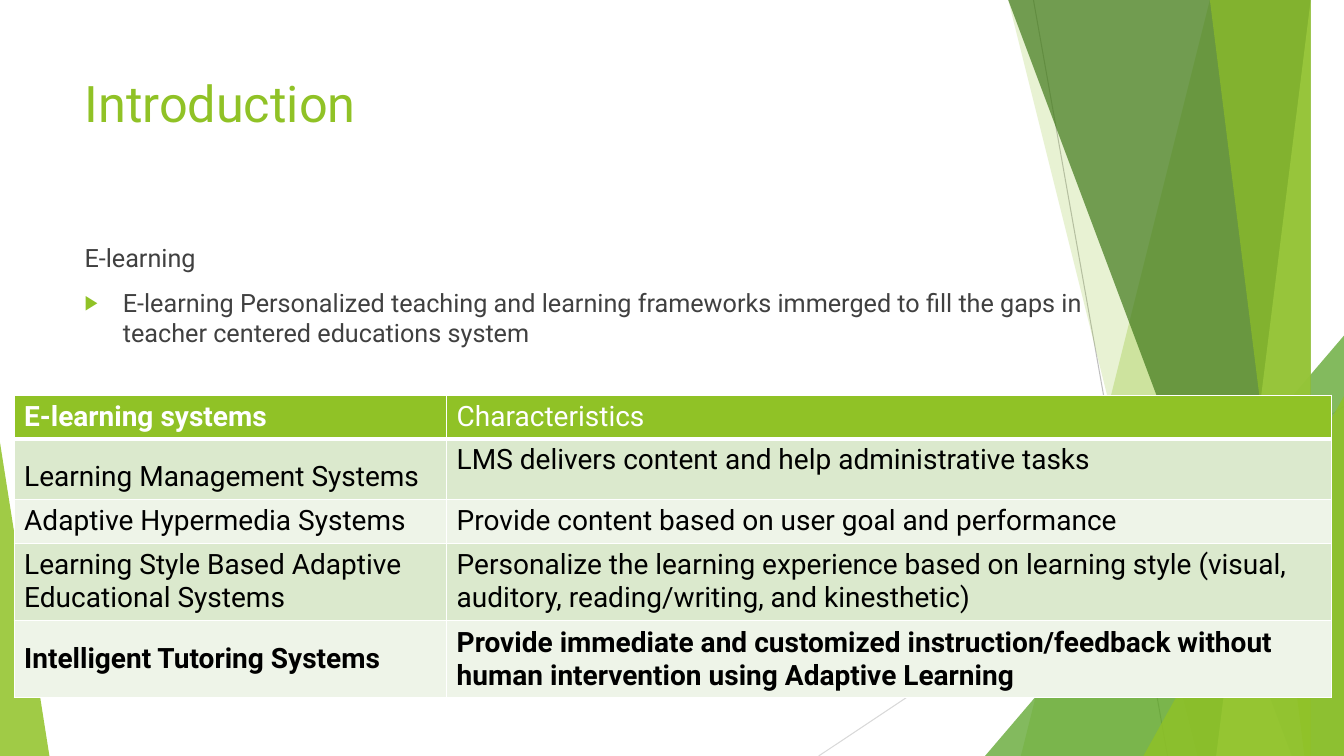
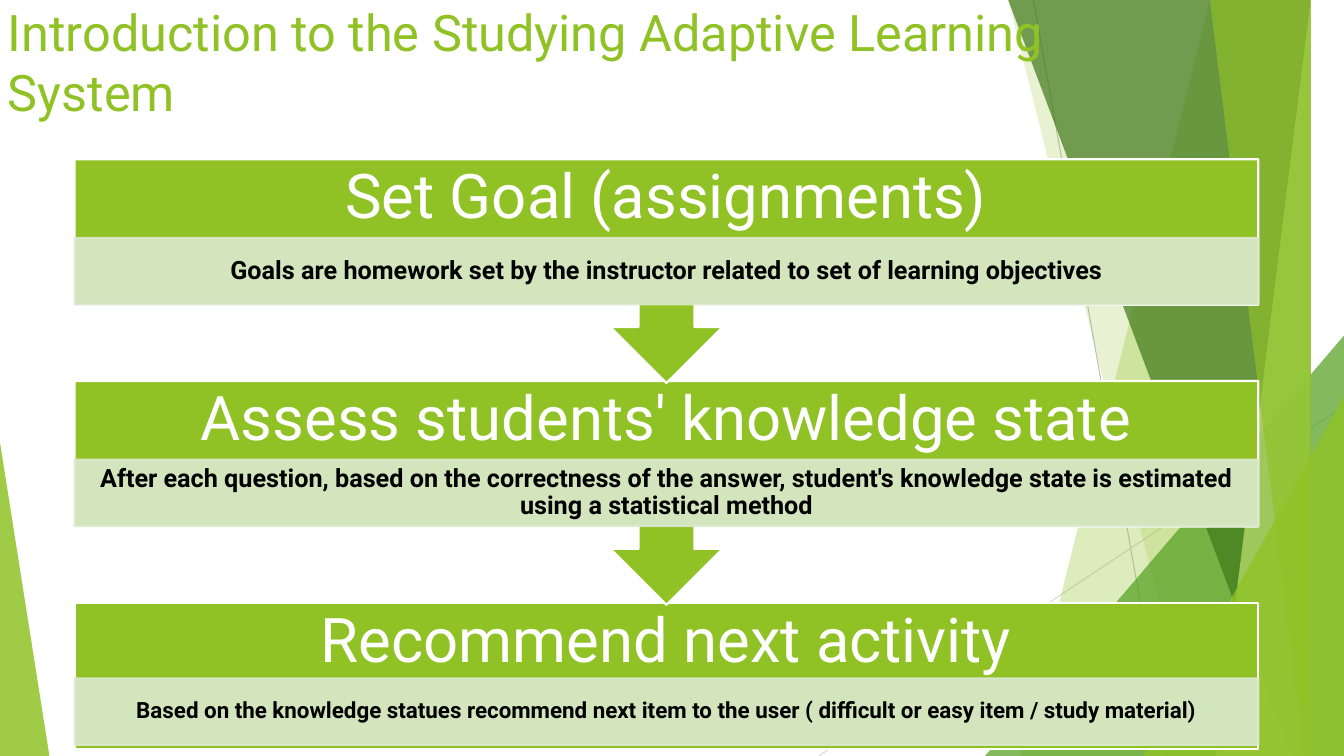
from lxml import etree
from pptx import Presentation, util as u
from pptx.dml.color import RGBColor
from pptx.enum import shapes as sh, text as tx
from pptx.oxml.ns import qn

W, H = 13.33, 7.5
FONT = "Roboto"
GREEN, LEAF, DARK, LIME = "90C226", "54A021", "3F7819", "C0E474"
PALE, MIST, WHITE, BLACK, GRAY = "DBE9CD", "EEF4E8", "FFFFFF", "000000", "404040"
TITLE = dict(size=36, color=GREEN)
BODY = dict(size=18, color=GRAY)
HEAD = dict(size=44, color=WHITE)
MID = tx.MSO_ANCHOR.MIDDLE
CENTER = dict(alignment=tx.PP_ALIGN.CENTER, line_spacing=0.9)


def rgb(code):
    return RGBColor.from_string(code)


def inches(*vals):
    return [u.Inches(v) for v in vals]


def sub(node, tag, **attrs):
    return etree.SubElement(node, qn(tag), attrs)


def paint(fill, code, alpha=100):
    fill.solid()
    fill.fore_color.rgb = rgb(code)
    if alpha < 100:
        # the colour node is the only child of the solid fill
        node = fill._xPr.find(qn("a:solidFill"))[0]
        sub(node, "a:alpha", val=str(alpha * 1000))


def style(shape, code, alpha=100, edge=None):
    shape.shadow.inherit = False
    paint(shape.fill, code, alpha)
    if edge:
        shape.line.width = u.Pt(1.5)
        paint(shape.line.fill, edge, alpha)
    else:
        shape.line.fill.background()


def write(para, words, size, color, bold=False, **form):
    for key, val in form.items():
        setattr(para, key, val)
    para.text = words
    look = dict(name=FONT, size=u.Pt(size), bold=bold)
    for run in para.runs:
        for key, val in look.items():
            setattr(run.font, key, val)
        run.font.color.rgb = rgb(color)


def setup(frame, side=0.1, edge=0.05, anchor=tx.MSO_ANCHOR.TOP):
    side, edge = inches(side, edge)
    vals = dict(word_wrap=True, vertical_anchor=anchor, margin_left=side,
                margin_right=side, margin_top=edge, margin_bottom=edge)
    for key, val in vals.items():
        setattr(frame, key, val)
    return frame


def label(slide, box, words, form, **opts):
    frame = setup(slide.shapes.add_textbox(*inches(*box)).text_frame, **opts)
    write(frame.paragraphs[0], words, **form)
    return frame


def line(slide, ends, code):
    rule = slide.shapes.add_connector(sh.MSO_CONNECTOR.STRAIGHT, *inches(*ends))
    rule.line.width = u.Pt(0.75)
    rule.line.color.rgb = rgb(code)
    sub(rule._element.spPr, "a:effectLst")


def band(slide, top, base, code, alpha):
    """Fill from a slanted left edge to the right side of the slide."""
    path = slide.shapes.build_freeform(top, 0, scale=u.Inches(1))
    path.add_line_segments([(W, 0), (W, H), (base, H)], close=True)
    style(path.convert_to_shape(), code, alpha)


def wedge(slide, left, top, width, tip, code, alpha):
    box = inches(left, top, width, H - top)
    shape = slide.shapes.add_shape(sh.MSO_SHAPE.ISOSCELES_TRIANGLE, *box)
    shape.adjustments[0] = tip
    style(shape, code, alpha)


def backdrop(slide):
    line(slide, (10.25, 0, 11.58, H), "BFBFBF")
    line(slide, (W, 4.03, 8.12, H), "D9D9D9")
    band(slide, 12.28, 10.04, GREEN, 30)
    band(slide, 10.5, 11.83, GREEN, 20)
    wedge(slide, 9.77, 3.33, 3.56, 1, LEAF, 72)
    band(slide, 10.21, 12.91, DARK, 70)
    band(slide, 13.03, 11.92, LIME, 70)
    band(slide, 11.96, 13.18, GREEN, 65)
    wedge(slide, 11.34, 3.93, 1.99, 1, GREEN, 80)
    wedge(slide, 0, 4.39, 0.49, 0, GREEN, 85)


def page(deck, title, box):
    slide = deck.slides.add_slide(deck.slide_layouts[6])
    backdrop(slide)
    label(slide, box, title, TITLE)
    return slide


def bullet(para):
    props = para._p.get_or_add_pPr()
    indent = u.Inches(0.38)
    props.set("marL", str(indent))
    props.set("indent", str(-indent))
    sub(sub(props, "a:buClr"), "a:srgbClr", val=GREEN)
    sub(props, "a:buSzPct", val="80000")
    sub(props, "a:buFont", typeface="Arial")
    sub(props, "a:buChar", char="▶")


def border(cell, base):
    """Draw white cell edges, with the given width in points below."""
    props = cell._tc.get_or_add_tcPr()
    for side, width in zip("LRTB", (1, 1, 1, base)):
        edge = sub(props, f"a:ln{side}", w=str(u.Pt(width)))
        sub(sub(edge, "a:solidFill"), "a:srgbClr", val=WHITE)


def grid(slide, left, top, cols, rows, data):
    box = inches(left, top, sum(cols), sum(rows))
    table = slide.shapes.add_table(len(rows), len(cols), *box).table
    for col, width in zip(table.columns, cols):
        col.width = u.Inches(width)
    for row, high in zip(table.rows, rows):
        row.height = u.Inches(high)
    last = len(rows) - 1
    for i, texts in enumerate(data):
        for j, words in enumerate(texts):
            cell = table.cell(i, j)
            border(cell, 1 if i else 3)
            paint(cell.fill, (PALE if i % 2 else MIST) if i else GREEN)
            if i > 1:
                cell.vertical_anchor = MID
            form = dict(line_spacing=1.5) if (i, j) == (1, 0) else {}
            write(cell.text_frame.paragraphs[0], words, 20,
                  BLACK if i else WHITE,
                  bold=i == last or (i, j) == (0, 0), **form)


def step(slide, box, head, kind, title, note, size):
    """Place a heading and a note in the box; head is the heading's height."""
    left, top, width, high = box
    block = slide.shapes.add_shape(kind, *inches(left, top, width, high))
    style(block, GREEN, edge=WHITE)
    if kind == sh.MSO_SHAPE.UP_ARROW_CALLOUT:
        block.rotation = 180
    label(slide, (left, top, width, 0.78), title, {**HEAD, **CENTER},
          side=0.34, edge=0, anchor=MID)
    base = inches(left, top + head, width, 0.66)
    panel = slide.shapes.add_shape(sh.MSO_SHAPE.RECTANGLE, *base)
    style(panel, PALE, 90, PALE)
    frame = setup(panel.text_frame, 0.14, 0.03, MID)
    write(frame.paragraphs[0], note, size, BLACK, True, **CENTER)


def intro(deck):
    slide = page(deck, "Introduction", (0.74, 0.67, 9.4, 1.44))
    frame = label(slide, (0.74, 2.36, 10.39, 1.4), "E-learning", BODY)
    para = frame.add_paragraph()
    para.space_before = u.Pt(10)
    bullet(para)
    write(para, "E-learning Personalized teaching and learning frameworks "
          "immerged to fill the gaps in teacher centered educations system",
          **BODY)
    data = [
        ("E-learning systems", "Characteristics"),
        ("Learning Management Systems",
         "LMS delivers content and help administrative tasks"),
        ("Adaptive Hypermedia Systems",
         "Provide content based on user goal and performance"),
        ("Learning Style Based Adaptive Educational Systems",
         "Personalize the learning experience based on learning style "
         "(visual, auditory, reading/writing, and kinesthetic)"),
        ("Intelligent Tutoring Systems",
         "Provide immediate and customized instruction/feedback without "
         "human intervention using Adaptive Learning"),
    ]
    grid(slide, 0.14, 3.92, (4.29, 8.78), (0.42, 0.59, 0.43, 0.75, 0.75), data)


def process(deck):
    slide = page(deck, "Introduction to the Studying Adaptive Learning\vSystem",
                 (-0.02, -0.04, 12.59, 1.44))
    call, rect = sh.MSO_SHAPE.UP_ARROW_CALLOUT, sh.MSO_SHAPE.RECTANGLE
    steps = [
        (2.22, 0.78, call, "Set Goal (assignments)",
         "Goals are homework set by the instructor related to set of "
         "learning objectives", 18),
        (2.22, 0.78, call, "Assess students' knowledge state",
         "After each question, based on the correctness of the answer, "
         "student's knowledge state is estimated using a statistical method",
         18),
        (1.45, 0.75, rect, "Recommend next activity",
         "Based on the knowledge statues recommend next item to the user "
         "( difficult or easy item / study material)", 16),
    ]
    # upper steps come last, so each arrow tip lies over the next step
    for i, (high, *rest) in reversed(list(enumerate(steps))):
        step(slide, (0.74, 1.58 + 2.2 * i, 11.74, high), *rest)


def main():
    deck = Presentation()
    deck.slide_width, deck.slide_height = inches(W, H)
    intro(deck)
    process(deck)
    deck.save("out.pptx")


if __name__ == "__main__":
    main()
